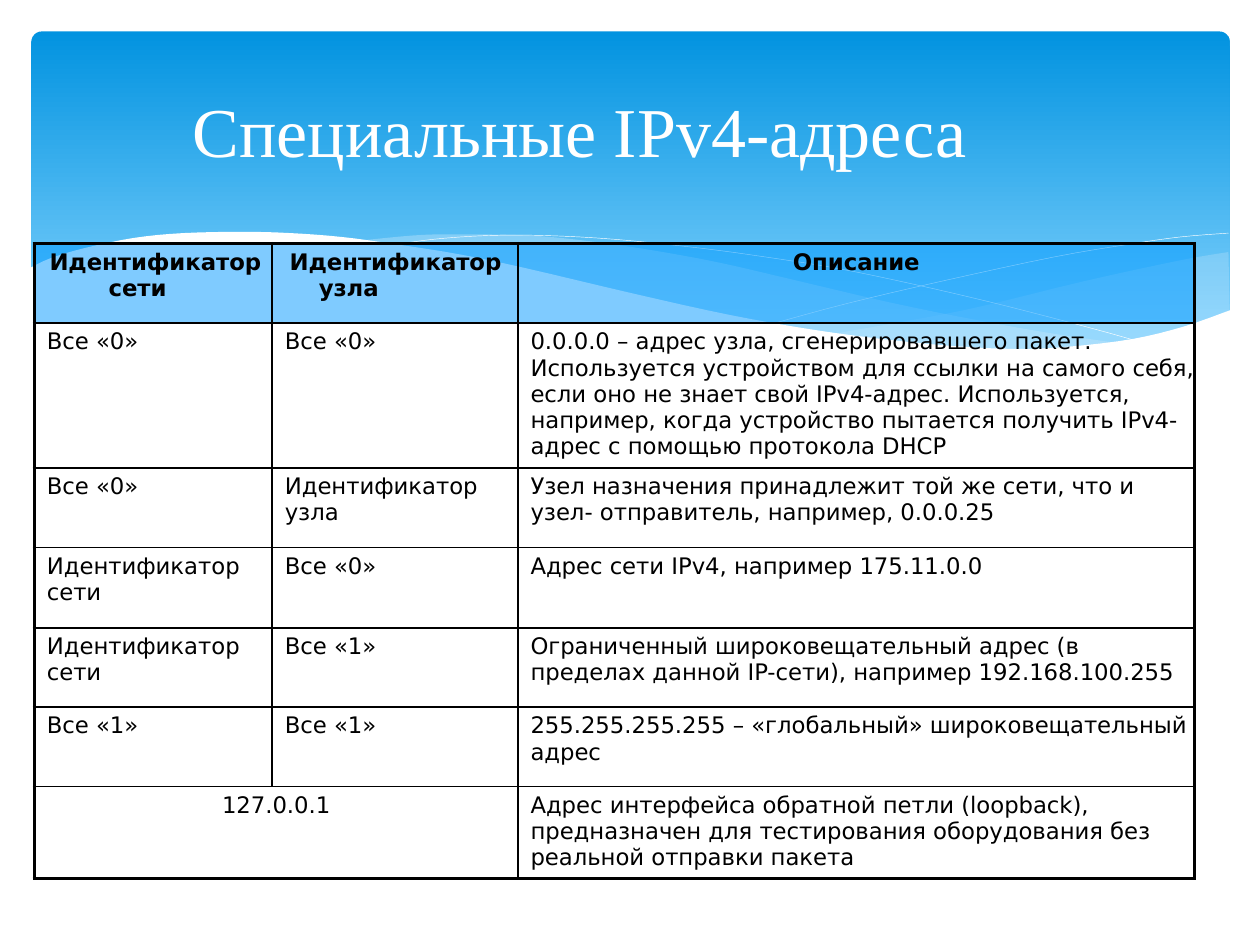
from dataclasses import dataclass

from lxml.etree import SubElement
from pptx import Presentation
from pptx.dml.color import RGBColor
from pptx.enum.shapes import MSO_SHAPE as Preset
from pptx.enum.text import MSO_ANCHOR as Anchor, MSO_AUTO_SIZE as AutoSize, PP_ALIGN as Align
from pptx.oxml.ns import qn
from pptx.util import Pt

Curve = list[tuple[float, float]]
TITLE_LAYOUT = 5
COLUMNS = (136, 140.4, 386.6)
ROWS = (45.4, 82.8, 45.4, 46, 45.4, 45.4, 52.6)
THIN, THICK = 1, 2.25


@dataclass
class Wave:
    """Curves joined at sharp corners; a wave without a fill is a white line."""
    curves: list[Curve]
    fill: str | None = None
    opacity: int = 100


@dataclass
class Entry:
    text: str
    margin: float = 7.2
    indent: float = 0
    centered: bool = False


WAVES = [
    Wave([[(702, 144), (673.2, 149), (620, 160.6), (561, 175), (525, 182.2), (476, 190.8)],
          [(476, 190.8), (507.6, 195.1), (536.4, 198), (578.2, 200.2), (614.9, 198.7),
           (645.8, 194.4), (673.2, 188.6), (702.7, 177.8)]], "C6E7FC", 29),
    Wave([[(643, 196.6), (602.6, 190.8), (558, 182.9), (508.3, 172.8), (452.9, 159.8),
           (409.7, 149.8), (370, 142.6), (334, 137.5), (302.4, 134.6), (260, 133.9),
           (236, 134.6), (206, 137.5)],
          [(206, 137.5), (246, 143.3), (291, 152), (323, 159.8), (381.6, 172.8),
           (432.7, 183.6), (478.8, 191.5), (520, 197.3), (556.6, 200.2), (581, 200.9),
           (610.6, 200.2), (643, 196.6)]], "C6E7FC", 40),
    Wave([[(222.5, 140.4), (247, 136.8), (278.6, 134.6), (311.8, 134.6), (352, 136.8),
           (400.3, 141.8), (437.8, 146.9), (478.8, 153.4), (523.4, 162.7), (572.4, 174.2),
           (625, 187.9), (653, 195.8)]]),
    Wave([[(441.4, 185), (483.8, 173.5), (538.6, 160.6), (602, 146.9), (644.4, 139.7),
           (674.6, 135.4), (702, 133.2)]]),
    Wave([[(703.4, 177.1), (676.8, 186.5), (647.3, 193.7), (612, 198), (582.5, 199.4),
           (548, 198), (509.8, 194.4), (465.8, 188.6), (417, 180), (362, 167.8),
           (301, 153.4), (262.8, 145.4), (226.8, 139.7), (195, 135.4), (165.6, 133.2),
           (139, 132.5), (105, 133.2), (76.3, 136), (48.2, 141.8), (28.8, 147.6),
           (16.6, 153.4)],
          [(16.6, 236.9), (703.4, 236.9)]], "FFFFFF"),
]

NET, NODE = "Идентификатор сети", "Идентификатор узла"
ZEROS, ONES = "Все «0»", "Все «1»"
HEADER = [Entry(NET, 42.5, -33.8), Entry(NODE, 26.6, -16.6), Entry("Описание", 0, centered=True)]
BODY = [
    (ZEROS, ZEROS, "0.0.0.0 – адрес узла, сгенерировавшего пакет.\n"
     "Используется устройством для ссылки на самого себя, если оно не знает свой IPv4-адрес. "
     "Используется, например, когда устройство пытается получить IPv4-адрес "
     "с помощью протокола DHCP"),
    (ZEROS, NODE, "Узел назначения принадлежит той же сети, что и узел- отправитель, "
     "например, 0.0.0.25"),
    ("Идентификатор\nсети", ZEROS, "Адрес сети IPv4, например 175.11.0.0"),
    (NET, ONES, "Ограниченный широковещательный адрес (в пределах данной IP-сети), "
     "например 192.168.100.255"),
    (ONES, ONES, "255.255.255.255 – «глобальный» широковещательный\nадрес"),
]
LOOPBACK = [
    Entry("127.0.0.1", 0, centered=True), Entry(""),
    Entry("Адрес интерфейса обратной петли (loopback),\n"
          "предназначен для тестирования оборудования без реальной отправки пакета"),
]


def color(value: str) -> RGBColor:
    return RGBColor.from_string(value)


def paint(fill, value: str, props, opacity: int = 100) -> None:
    fill.solid()
    fill.fore_color.rgb = color(value)
    if opacity < 100:
        shade = next(props.iter(qn("a:srgbClr")))
        SubElement(shade, qn("a:alpha"), val=str(opacity * 1000))


def smooth(knots: Curve, steps: int = 4) -> Curve:
    """Catmull-Rom curve through the knots."""
    if len(knots) < 3:
        return knots
    padded = [knots[0], *knots, knots[-1]]
    points = [knots[0]]
    for a, b, c, d in zip(padded, padded[1:], padded[2:], padded[3:]):
        for step in range(1, steps + 1):
            t = step / steps
            points.append(tuple(
                (2 * q + (r - p) * t + (2 * p - 5 * q + 4 * r - s) * t**2
                 + (3 * q - p - 3 * r + s) * t**3) / 2
                for p, q, r, s in zip(a, b, c, d)))
    return points


def draw_wave(page, wave: Wave) -> None:
    points = [(Pt(x), Pt(y)) for curve in wave.curves for x, y in smooth(curve)]
    builder = page.shapes.build_freeform(*points[0])
    builder.add_line_segments(points[1:], close=wave.fill is not None)
    shape = builder.convert_to_shape()
    shape.shadow.inherit = False
    if wave.fill:
        paint(shape.fill, wave.fill, shape.element.spPr, wave.opacity)
        shape.line.fill.background()
    else:
        shape.fill.background()
        shape.line.color.rgb = color("FFFFFF")
        shape.line.width = Pt(0.25)


def draw_backdrop(page) -> None:
    panel = page.shapes.add_shape(Preset.ROUNDED_RECTANGLE, Pt(18), Pt(18), Pt(684.7), Pt(194.4))
    panel.adjustments[0] = 0.03
    panel.shadow.inherit = False
    panel.line.fill.background()
    panel.fill.gradient()
    panel.fill.gradient_angle = 270
    for stop, place, value in zip(panel.fill.gradient_stops, (0, 0.9), ("0293E0", "83D3FE")):
        stop.position = place
        stop.color.rgb = color(value)
    for wave in WAVES:
        draw_wave(page, wave)


def format_span(span, font: str, size: float, value: str, bold: bool = False) -> None:
    span.font.name, span.font.size, span.font.bold = font, Pt(size), bold
    span.font.color.rgb = color(value)


def place_title(page, text: str) -> None:
    title = page.shapes.title
    title.left, title.top, title.width, title.height = Pt(110.2), Pt(49), Pt(516.2), Pt(49.7)
    frame = title.text_frame
    frame.text = text
    frame.auto_size, frame.vertical_anchor, frame.word_wrap = AutoSize.NONE, Anchor.TOP, True
    frame.margin_left = frame.margin_right = frame.margin_bottom = 0
    frame.margin_top = Pt(1)
    para = frame.paragraphs[0]
    para.alignment, para.space_before, para.line_spacing = Align.LEFT, Pt(1), 1.0
    format_span(para.runs[0], "Times New Roman", 40, "FFFFFF")
    # Bring the title in front of the backdrop
    title.element.getparent().append(title.element)


def set_borders(cell, widths: dict[str, float]) -> None:
    props = cell._tc.get_or_add_tcPr()
    for place, (side, width) in enumerate(widths.items()):
        line = SubElement(props, qn(f"a:ln{side}"), w=str(Pt(width)))
        SubElement(SubElement(line, qn("a:solidFill")), qn("a:srgbClr"), val="000000")
        props.insert(place, line)


def fill_cell(cell, entry: Entry, header: bool) -> None:
    cell.margin_left = cell.margin_right = cell.margin_bottom = 0
    cell.margin_top = Pt(3.3)
    cell.vertical_anchor = Anchor.TOP
    cell.text_frame.text = entry.text
    for number, para in enumerate(cell.text_frame.paragraphs):
        para.alignment = Align.CENTER if entry.centered else Align.LEFT
        para.space_before = Pt(0 if number else 3.5)
        props = para._p.get_or_add_pPr()
        props.set("marL", str(Pt(entry.margin)))
        props.set("indent", str(Pt(entry.indent)))
        for span in para.runs:
            format_span(span, "DejaVu Sans", 13, "000000", header)
    if header:
        paint(cell.fill, "0099FF", cell._tc.get_or_add_tcPr(), 50)
    else:
        cell.fill.background()


def draw_table(page) -> None:
    rows = [HEADER, *([Entry(text) for text in row] for row in BODY), LOOPBACK]
    last_row, last_column = len(ROWS) - 1, len(COLUMNS) - 1
    table = page.shapes.add_table(len(ROWS), len(COLUMNS), Pt(19.6), Pt(139.2),
                                  Pt(sum(COLUMNS)), Pt(sum(ROWS))).table
    table.first_row = table.horz_banding = False
    for column, width in zip(table.columns, COLUMNS):
        column.width = Pt(width)
    for row, height in zip(table.rows, ROWS):
        row.height = Pt(height)
    for r, entries in enumerate(rows):
        for c, entry in enumerate(entries):
            cell = table.cell(r, c)
            fill_cell(cell, entry, r == 0)
            outer = {"L": c == 0, "R": c == last_column, "T": r == 0, "B": r == last_row}
            set_borders(cell, {side: THICK if edge else THIN for side, edge in outer.items()})
    table.cell(last_row, 0).merge(table.cell(last_row, 1))


def main() -> None:
    deck = Presentation()
    deck.slide_width, deck.slide_height = Pt(720), Pt(540)
    page = deck.slides.add_slide(deck.slide_layouts[TITLE_LAYOUT])
    draw_backdrop(page)
    place_title(page, "Специальные IPv4-адреса")
    draw_table(page)
    deck.save("out.pptx")


if __name__ == "__main__":
    main()
